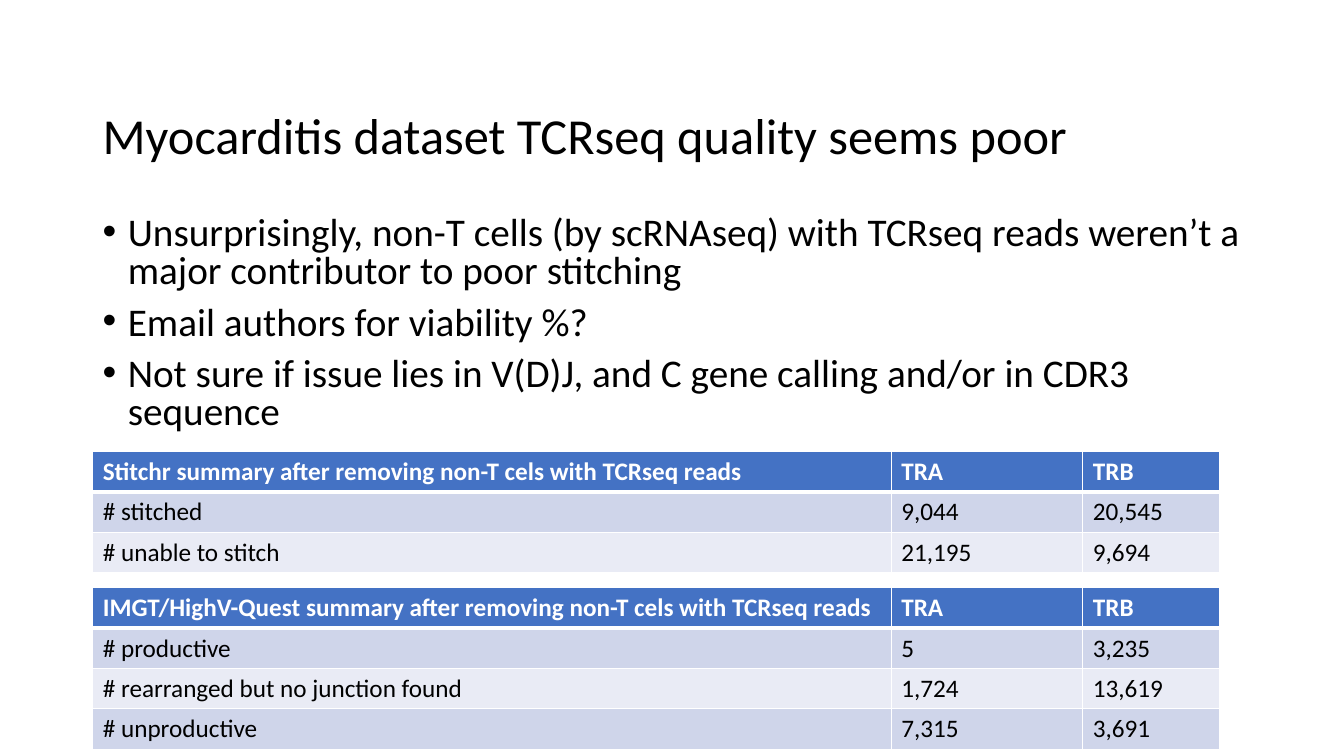
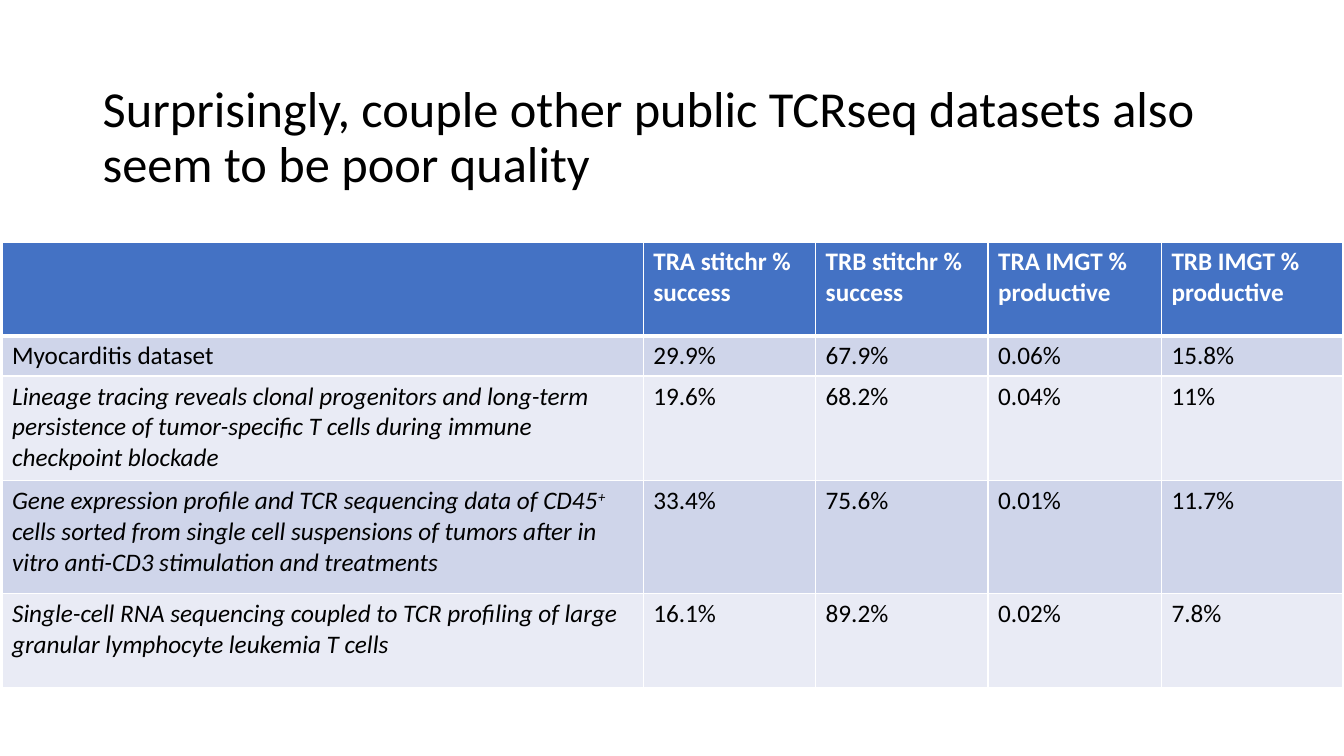
from dataclasses import dataclass

from lxml.etree import SubElement
from pptx import Presentation
from pptx.dml.color import RGBColor
from pptx.enum.text import MSO_ANCHOR
from pptx.oxml.ns import qn
from pptx.util import Inches, Pt

# Shared style
FONT = "Calibri"
BLACK, WHITE = "000000", "FFFFFF"
HEAD = "4472C4"
BANDS = ("CFD5EA", "E9EBF5")
LEFT, WIDE = 0.92, 11.5


@dataclass(frozen=True)
class Span:
    text: str
    slant: bool = False
    raised: bool = False


@dataclass(frozen=True)
class Grid:
    left: float
    top: float
    cols: tuple
    heights: tuple
    rows: tuple


def paint(hue: str) -> RGBColor:
    return RGBColor.from_string(hue)


# Text
def add_span(para, span: Span, size: float, hue: str = BLACK,
             bold: bool = False) -> None:
    run = para.add_run()
    run.text = span.text
    font = run.font
    font.name, font.size = FONT, Pt(size)
    font.bold, font.italic = bold, span.slant
    font.color.rgb = paint(hue)
    if span.raised:
        run._r.get_or_add_rPr().set("baseline", "30000")


def add_box(slide, top: float, height: float):
    box = slide.shapes.add_textbox(
        Inches(LEFT), Inches(top), Inches(WIDE), Inches(height))
    box.text_frame.word_wrap = True
    return box.text_frame


def add_title(slide, text: str) -> None:
    frame = add_box(slide, 0.65, 1.45)
    frame.vertical_anchor = MSO_ANCHOR.MIDDLE
    para = frame.paragraphs[0]
    para.line_spacing = 0.9
    add_span(para, Span(text), 36)


def add_list(slide, items: tuple) -> None:
    frame = add_box(slide, 2.1, 2.28)
    for pos, item in enumerate(items):
        para = frame.add_paragraph() if pos else frame.paragraphs[0]
        para.line_spacing, para.space_before = 0.8, Pt(10)
        props = para._p.get_or_add_pPr()
        props.set("marL", str(Inches(0.25)))
        props.set("indent", str(Inches(-0.25)))
        SubElement(props, qn("a:buFont")).set("typeface", "Arial")
        SubElement(props, qn("a:buChar")).set("char", "•")
        add_span(para, Span(item), 28)


# Tables
def add_edges(cell, top: float, base: float) -> None:
    props = cell._tc.get_or_add_tcPr()
    edges = (("L", 1), ("R", 1), ("T", top), ("B", base))
    for pos, (side, width) in enumerate(edges):
        line = SubElement(props, qn(f"a:ln{side}"))
        line.set("w", str(Pt(width)))
        fill = SubElement(line, qn("a:solidFill"))
        SubElement(fill, qn("a:srgbClr")).set("val", WHITE)
        props.insert(pos, line)


def fill_cell(cell, value, row: int) -> None:
    head = row == 0
    cell.fill.solid()
    cell.fill.fore_color.rgb = paint(HEAD if head else BANDS[(row - 1) % 2])
    add_edges(cell, 3 if row == 1 else 1, 3 if head else 1)
    spans = (Span(value),) if isinstance(value, str) else value
    for span in spans:
        if span.text:
            add_span(cell.text_frame.paragraphs[0], span, 18,
                     WHITE if head else BLACK, head)


def add_grid(slide, grid: Grid) -> None:
    table = slide.shapes.add_table(
        len(grid.rows), len(grid.cols), Inches(grid.left), Inches(grid.top),
        Inches(sum(grid.cols)), Inches(sum(grid.heights))).table
    for col, width in zip(table.columns, grid.cols):
        col.width = Inches(width)
    for row, height in zip(table.rows, grid.heights):
        row.height = Inches(height)
    for row, values in enumerate(grid.rows):
        for col, value in enumerate(values):
            fill_cell(table.cell(row, col), value, row)


def count_grid(top: float, label: str, *rows: tuple) -> Grid:
    tail = " summary after removing non-T cels with TCRseq reads"
    full = ((label + tail, "TRA", "TRB"), *rows)
    return Grid(LEFT, top, (7.92, 1.9, 1.36), (0.4,) * len(full), full)


# Content
POINTS = (
    "Unsurprisingly, non-T cells (by scRNAseq) with TCRseq reads weren’t a "
    "major contributor to poor stitching",
    "Email authors for viability %?",
    "Not sure if issue lies in V(D)J, and C gene calling and/or in CDR3 "
    "sequence",
)
COUNTS = (
    count_grid(5.83, "IMGT/HighV-Quest",
               ("# productive", "5", "3,235"),
               ("# rearranged but no junction found", "1,724", "13,619"),
               ("# unproductive", "7,315", "3,691")),
    count_grid(4.48, "Stitchr",
               ("# stitched", "9,044", "20,545"),
               ("# unable to stitch", "21,195", "9,694")),
)
LINEAGE = (Span(
    "Lineage tracing reveals clonal progenitors and long-term persistence of "
    "tumor-specific T cells during immune checkpoint blockade", True),)
SORTED = (
    Span("Gene expression profile and TCR sequencing data of CD45", True),
    Span("+", True, True),
    Span(" cells sorted from single cell suspensions of tumors after in "
         "vitro anti-CD3 stimulation and treatments", True),
)
SINGLE = (Span(
    "Single-cell RNA sequencing coupled to TCR profiling of large granular "
    "lymphocyte leukemia T cells", True),)
RATES = Grid(
    0.02, 2.4, (6.36, 1.71, 1.71, 1.72, 1.8), (0.93, 0.38, 1.04, 1.12, 0.93),
    (
        ("", "TRA stitchr % success", "TRB stitchr % success",
         "TRA IMGT % productive", "TRB IMGT % productive"),
        ("Myocarditis dataset", "29.9%", "67.9%", "0.06%", "15.8%"),
        (LINEAGE, "19.6%", "68.2%", "0.04%", "11%"),
        (SORTED, "33.4%", "75.6%", "0.01%", "11.7%"),
        (SINGLE, "16.1%", "89.2%", "0.02%", "7.8%"),
    ))


def main() -> None:
    deck = Presentation()
    deck.slide_width, deck.slide_height = Inches(13.33), Inches(7.5)
    blank = deck.slide_layouts[6]

    # Myocarditis quality
    slide = deck.slides.add_slide(blank)
    add_title(slide, "Myocarditis dataset TCRseq quality seems poor")
    add_list(slide, POINTS)
    for grid in COUNTS:
        add_grid(slide, grid)

    # Other datasets
    slide = deck.slides.add_slide(blank)
    add_title(slide, "Surprisingly, couple other public TCRseq datasets also "
                     "seem to be poor quality")
    add_grid(slide, RATES)

    deck.save("out.pptx")


if __name__ == "__main__":
    main()
